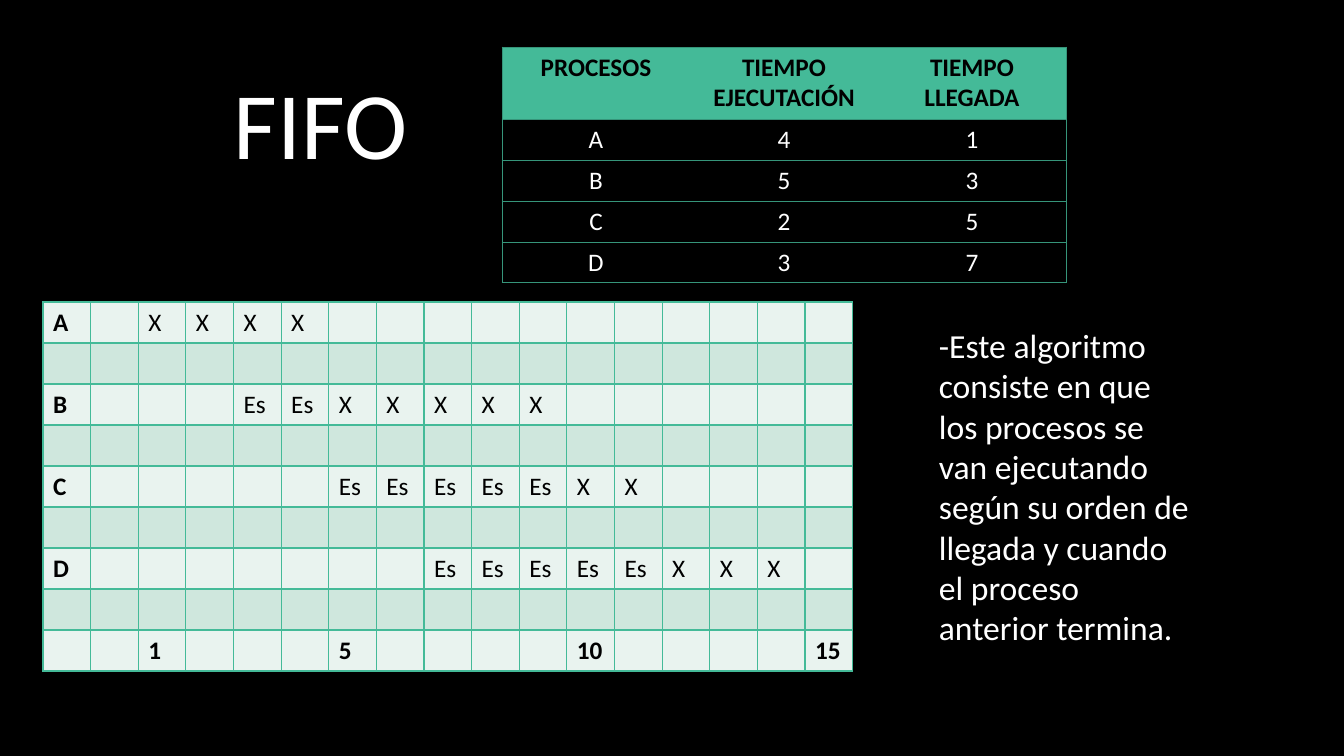
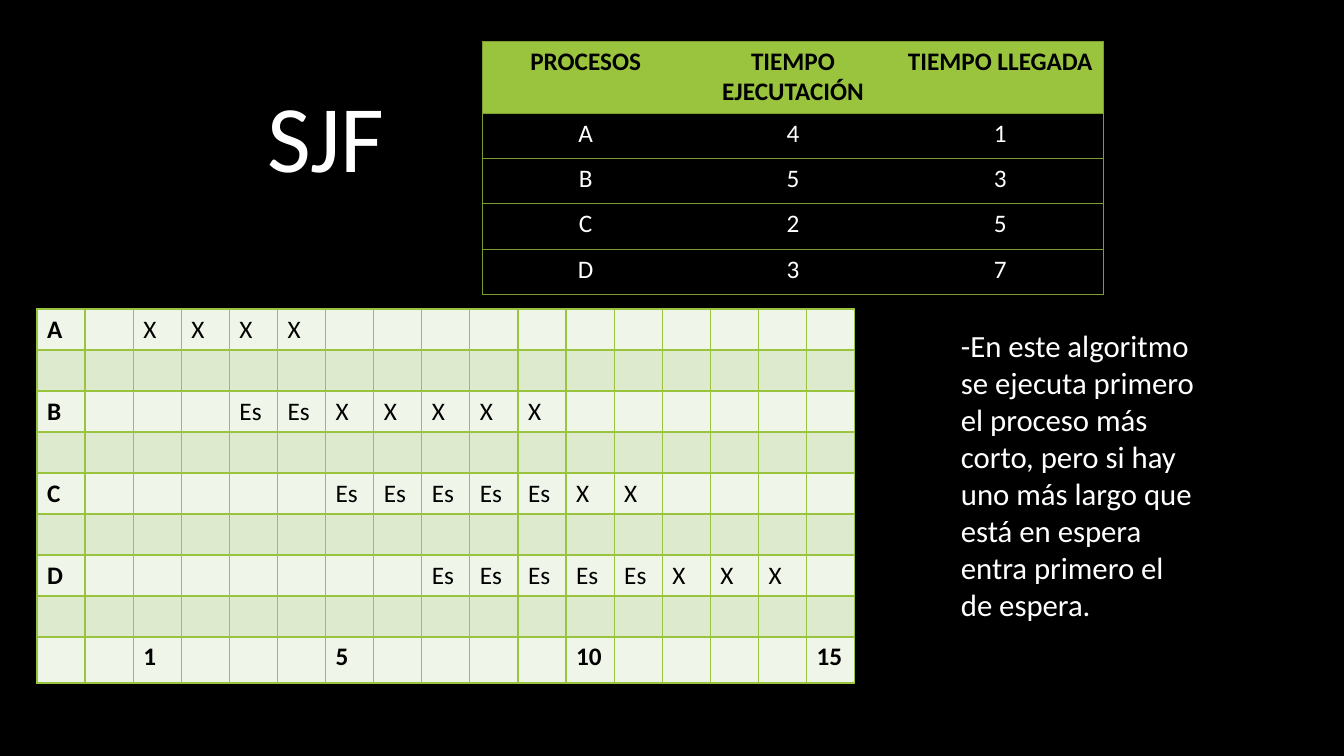
from dataclasses import dataclass

from lxml.etree import SubElement
from pptx import Presentation
from pptx.dml.color import RGBColor
from pptx.enum.text import MSO_ANCHOR, MSO_AUTO_SIZE, PP_ALIGN
from pptx.oxml.ns import qn
from pptx.util import Emu, Pt

FONT = "Calibri"
BLACK, WHITE = "000000", "FFFFFF"
TITLE_ONLY = 5
HEADER_HEIGHT = 72
GANTT_ROW = 41
LAST_TIME = 15
TIME_MARKS = (1, 5, 10, 15)
HEADINGS = ("PROCESOS", "TIEMPO EJECUTACIÓN", "TIEMPO LLEGADA")
PROCESSES = (("A", 4, 1), ("B", 5, 3), ("C", 2, 5), ("D", 3, 7))


@dataclass
class Theme:
    accent: str
    outline: str
    light: str
    dark: str


GREEN = Theme("44BA98", "36957A", "E9F3EF", "CFE7DD")
LIME = Theme("9AC43E", "7B9D32", "EFF5E8", "DEEACE")


def px(length):
    return Emu(round(length * 914400 / 100.8))


def place(box):
    return [px(length) for length in box]


def color(value):
    return RGBColor.from_string(value)


def write(text_frame, text, size=18, ink=BLACK, bold=False, align=PP_ALIGN.LEFT, spacing=None):
    paragraph = text_frame.paragraphs[0]
    paragraph.alignment = align
    paragraph.line_spacing = spacing
    run = paragraph.add_run()
    run.text = text
    font = run.font
    font.name, font.size, font.bold = FONT, Pt(size), bold
    font.color.rgb = color(ink)


def set_borders(cell, ink, points, sides="LRTB"):
    """Draw the named sides and clear the others; call before setting the fill."""
    properties = cell._tc.get_or_add_tcPr()
    for side in "LRTB":
        line = SubElement(properties, qn(f"a:ln{side}"), w=str(Pt(points)))
        if side in sides:
            fill = SubElement(line, qn("a:solidFill"))
            SubElement(fill, qn("a:srgbClr"), val=ink)
        else:
            SubElement(line, qn("a:noFill"))


def add_grid(slide, box, heights, column_count):
    table = slide.shapes.add_table(len(heights), column_count, *place(box)).table
    table.horz_banding = False
    for row, height in zip(table.rows, heights):
        row.height = px(height)
    return table


def add_title(slide, box, text):
    title = slide.shapes.title
    title.left, title.top, title.width, title.height = place(box)
    frame = title.text_frame
    frame.auto_size = MSO_AUTO_SIZE.NONE
    frame.vertical_anchor = MSO_ANCHOR.MIDDLE
    write(frame, text, size=68, ink=WHITE, align=PP_ALIGN.CENTER, spacing=0.9)


def add_process_table(slide, box, theme):
    count = len(PROCESSES)
    heights = [HEADER_HEIGHT] + [(box[3] - HEADER_HEIGHT) / count] * count
    table = add_grid(slide, box, heights, len(HEADINGS))
    last = len(HEADINGS) - 1
    for row, values in enumerate((HEADINGS, *PROCESSES)):
        is_header = row == 0
        for column, value in enumerate(values):
            cell = table.cell(row, column)
            outer = {0: "L", last: "R"}.get(column, "")
            set_borders(cell, theme.outline, 0.75, "TB" + outer)
            if is_header:
                cell.fill.solid()
                cell.fill.fore_color.rgb = color(theme.accent)
            else:
                cell.fill.background()
            write(cell.text_frame, str(value), ink=BLACK if is_header else WHITE,
                  bold=is_header, align=PP_ALIGN.CENTER)


def schedule():
    """Map (row, column) to a mark, running the processes in order of arrival."""
    marks = {}
    free_at = 0
    for index, (name, duration, arrival) in enumerate(PROCESSES):
        row = 2 * index
        marks[row, 0] = name
        start = max(free_at, arrival)
        free_at = start + duration
        for time in range(arrival, free_at):
            marks[row, time + 1] = "Es" if time < start else "X"
    for time in TIME_MARKS:
        marks[2 * len(PROCESSES), time + 1] = str(time)
    return marks


def add_gantt(slide, box, theme):
    axis_row = 2 * len(PROCESSES)
    heights = [GANTT_ROW] * axis_row + [box[3] - GANTT_ROW * axis_row]
    column_count = LAST_TIME + 2
    table = add_grid(slide, box, heights, column_count)
    marks = schedule()
    for row in range(axis_row + 1):
        for column in range(column_count):
            cell = table.cell(row, column)
            set_borders(cell, theme.accent, 1)
            cell.fill.solid()
            cell.fill.fore_color.rgb = color(theme.dark if row % 2 else theme.light)
            if (row, column) in marks:
                write(cell.text_frame, marks[row, column], bold=column == 0 or row == axis_row)


def add_description(slide, box, text, size):
    frame = slide.shapes.add_textbox(*place(box)).text_frame
    frame.word_wrap = True
    frame.auto_size = MSO_AUTO_SIZE.SHAPE_TO_FIT_TEXT
    write(frame, text, size=size, ink=WHITE)


def add_algorithm_slide(presentation, theme, title, title_box, process_box, gantt_box,
                        description, description_box, description_size):
    slide = presentation.slides.add_slide(presentation.slide_layouts[TITLE_ONLY])
    add_title(slide, title_box, title)
    add_process_table(slide, process_box, theme)
    add_gantt(slide, gantt_box, theme)
    add_description(slide, description_box, description, description_size)


def main():
    presentation = Presentation()
    presentation.slide_width, presentation.slide_height = px(1344), px(756)
    background = presentation.slide_master.background.fill
    background.solid()
    background.fore_color.rgb = color(BLACK)

    add_algorithm_slide(
        presentation, GREEN, "FIFO",
        title_box=(101, 69, 439, 120),
        process_box=(502, 47, 564, 236),
        gantt_box=(43, 302, 810, 369),
        description="-Este algoritmo consiste en que los procesos se van ejecutando "
                    "según su orden de llegada y cuando el proceso anterior termina.",
        description_box=(929, 320, 274, 336),
        description_size=24)
    add_algorithm_slide(
        presentation, LIME, "SJF",
        title_box=(101, 69, 450, 145),
        process_box=(482, 41, 622, 254),
        gantt_box=(37, 309, 818, 374),
        description="-En este algoritmo se ejecuta primero el proceso más corto, pero si "
                    "hay uno más largo que está en espera entra primero el de espera.",
        description_box=(951, 322, 260, 308),
        description_size=22)
    presentation.save("out.pptx")


if __name__ == "__main__":
    main()
